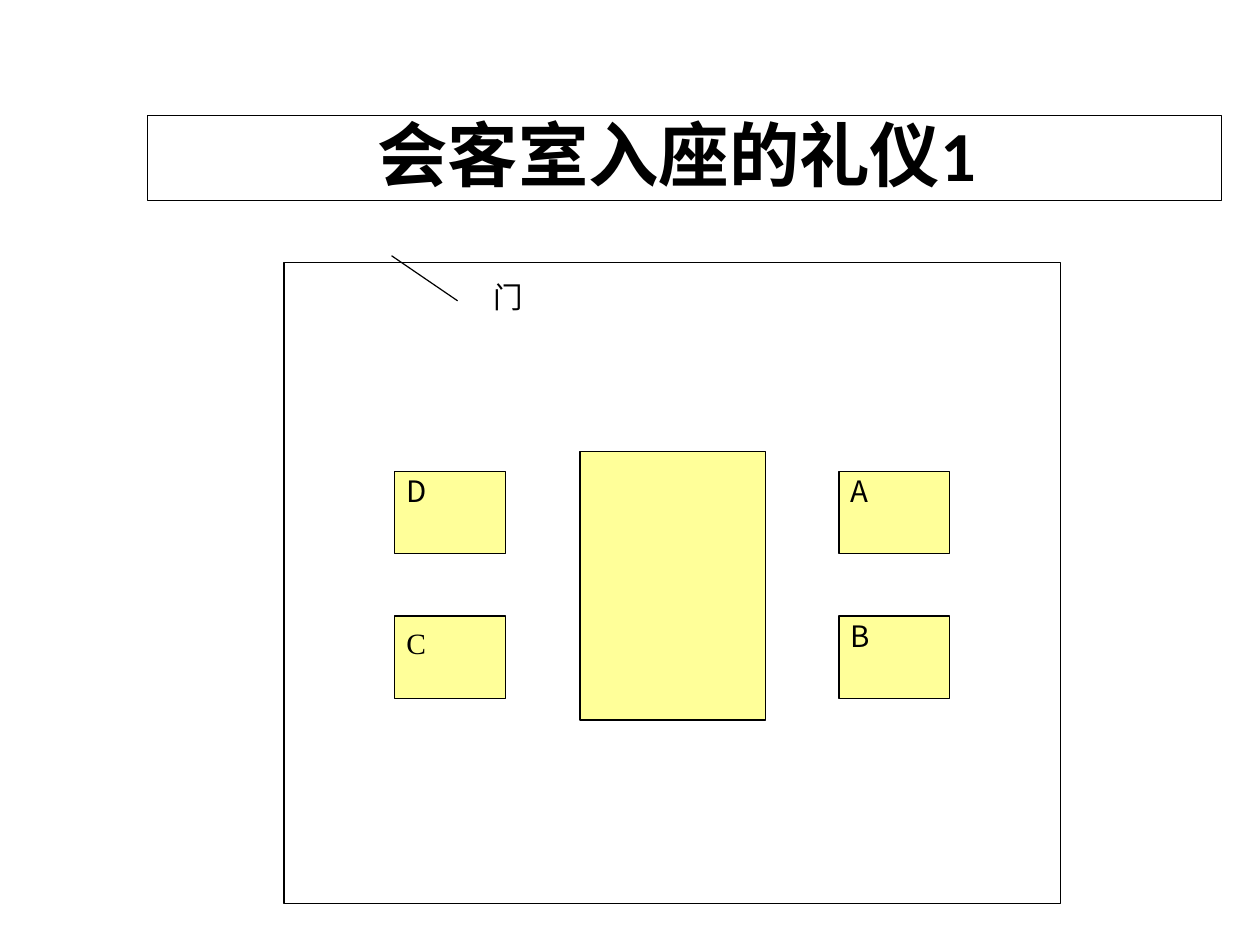
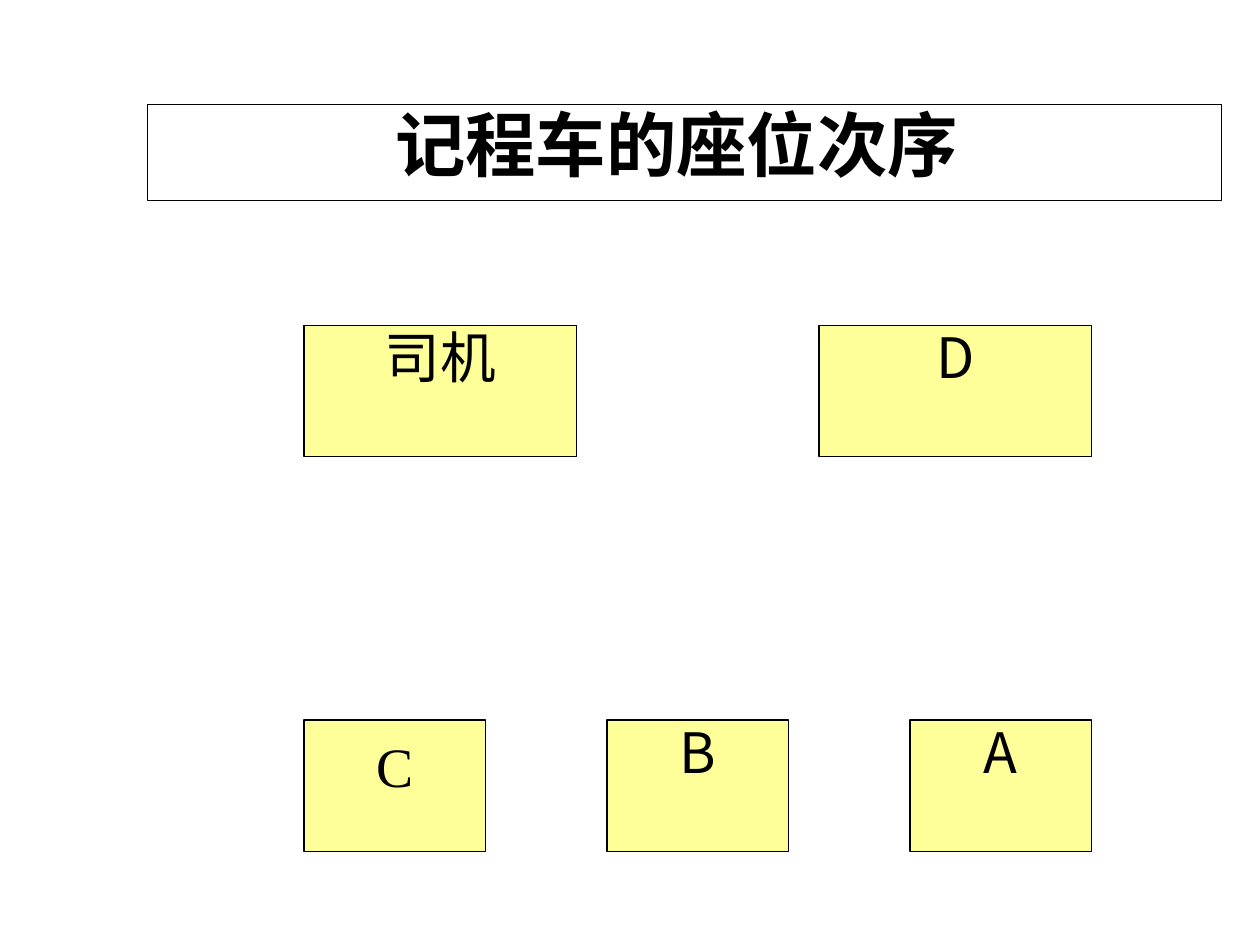
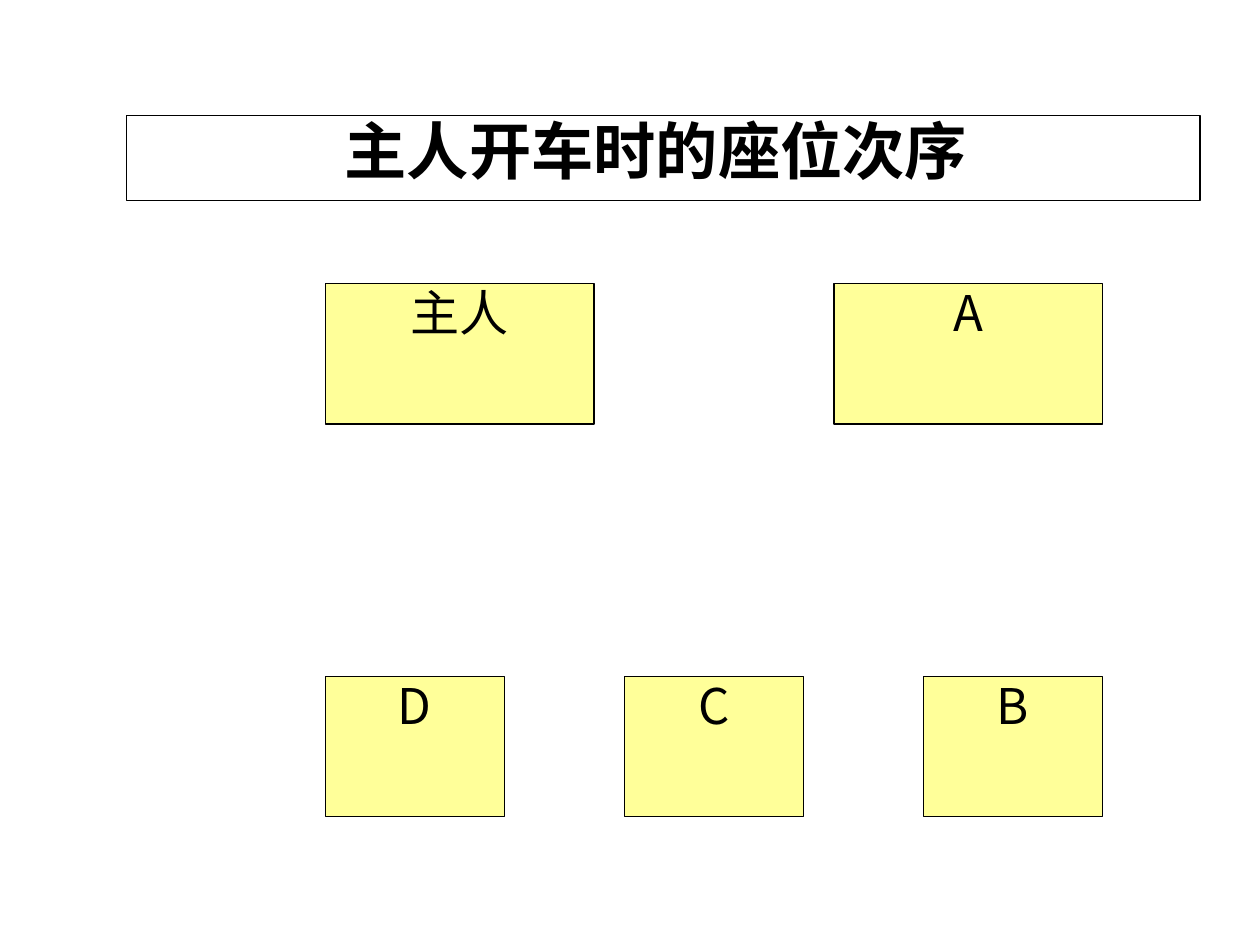
from lxml import etree
from pptx import Presentation
from pptx.dml.color import RGBColor
from pptx.enum.shapes import MSO_SHAPE
from pptx.enum.text import MSO_ANCHOR, MSO_AUTO_SIZE, PP_ALIGN
from pptx.oxml.ns import qn
from pptx.util import Cm, Pt

RECTANGLE = MSO_SHAPE.RECTANGLE
CALLOUT = MSO_SHAPE.LINE_CALLOUT_1_NO_BORDER
CENTER, JUSTIFY = PP_ALIGN.CENTER, PP_ALIGN.JUSTIFY
TITLE_ONLY = 5

COLOURS = {"paper": "FFFFFF", "ink": "000000", "seat": "FFFF99"}
CJK, SERIF, HEADING = "Noto Sans CJK SC", "Times New Roman", "Calibri"
MARGINS = {"margin_left": Cm(0.25), "margin_right": Cm(0.25),
           "margin_top": Cm(0.13), "margin_bottom": Cm(0.13)}
FRAME = {"word_wrap": True, "auto_size": MSO_AUTO_SIZE.NONE,
         "vertical_anchor": MSO_ANCHOR.TOP, **MARGINS}
LINE_SPACING = 0.89
SERIF_DROP = 0.11

MEETING = {
    "title": ("会客室入座的礼仪1 ", 43, (3.18, 2.49, 23.14, 1.83)),
    "room": (6.12, 5.66, 16.74, 13.82),
    "door": ("门", (10.39, 5.97, 6.38, 2.74), (0.188, -0.083, -0.167, -0.306)),
    "table": (12.5, 9.73, 3.99, 5.79),
    "size": 18,
    "seat": (2.39, 1.78),
    "columns": (8.51, 18.08),
    "rows": (10.16, 13.28),
    "seats": [[("D", CJK), ("A", CJK)], [("C", SERIF), ("B", CJK)]],
}

CARS = [
    {
        "title": ("记程车的座位次序 ", 43, (3.18, 2.26, 23.14, 2.06)),
        "size": 34,
        "left": 6.55, "right": 23.52, "height": 2.84,
        "rows": [
            (7.01, 5.87, [("司机", SERIF), ("D", CJK)]),
            (15.52, 3.91, [("C", SERIF), ("B", CJK), ("A", CJK)]),
        ],
    },
    {
        "title": ("主人开车时的座位次序 ", 38, (2.72, 2.49, 23.14, 1.83)),
        "size": 30,
        "left": 7.01, "right": 23.76, "height": 3.02,
        "rows": [
            (6.12, 5.79, [("主人", SERIF), ("A", CJK)]),
            (14.58, 3.86, [("D", CJK), ("C", CJK), ("B", CJK)]),
        ],
    },
]


def assign(target, values):
    for name, value in values.items():
        setattr(target, name, value)


def colour(name):
    return RGBColor.from_string(COLOURS[name])


def paint(shape, fill):
    shape.fill.solid()
    shape.fill.fore_color.rgb = colour(fill)
    shape.line.color.rgb = colour("ink")
    shape.line.width = Pt(0.75)


def write(shape, text, size, font, align, bold=False):
    frame = shape.text_frame
    assign(frame, FRAME)
    para = frame.paragraphs[0]
    para.alignment = align
    if font == SERIF and text.isascii():
        frame.margin_top = MARGINS["margin_top"] + Pt(size * SERIF_DROP)
    else:
        para.line_spacing = LINE_SPACING
    span = para.add_run()
    span.text = text
    assign(span.font, {"size": Pt(size), "name": font, "bold": bold})
    span.font.color.rgb = colour("ink")
    etree.SubElement(span.font._element, qn("a:ea"), typeface=CJK)


def add_box(page, place, fill, kind=RECTANGLE):
    box = page.shapes.add_shape(kind, *map(Cm, place))
    box.shadow.inherit = False
    paint(box, fill)
    return box


def add_page(deck, title):
    text, size, place = title
    page = deck.slides.add_slide(deck.slide_layouts[TITLE_ONLY])
    heading = page.shapes.title
    assign(heading, dict(zip(("left", "top", "width", "height"), map(Cm, place))))
    paint(heading, "paper")
    write(heading, text, size, HEADING, CENTER, bold=True)
    return page


def add_meeting(deck, plan):
    page = add_page(deck, plan["title"])
    add_box(page, plan["room"], "paper")
    label, place, pointer = plan["door"]
    door = add_box(page, place, "paper", CALLOUT)
    for index, value in enumerate(pointer):
        door.adjustments[index] = value
    write(door, label, plan["size"], SERIF, JUSTIFY)
    add_box(page, plan["table"], "seat")
    for top, row in zip(plan["rows"], plan["seats"]):
        for left, (text, font) in zip(plan["columns"], row):
            seat = add_box(page, (left, top, *plan["seat"]), "seat")
            write(seat, text, plan["size"], font, JUSTIFY)


def add_car(deck, plan):
    page = add_page(deck, plan["title"])
    for top, width, seats in plan["rows"]:
        step = (plan["right"] - plan["left"] - width) / (len(seats) - 1)
        for index, (text, font) in enumerate(seats):
            place = (plan["left"] + index * step, top, width, plan["height"])
            write(add_box(page, place, "seat"), text, plan["size"], font, CENTER)


def main():
    deck = Presentation()
    assign(deck, {"slide_width": Cm(27.15), "slide_height": Cm(20.37)})
    add_meeting(deck, MEETING)
    for plan in CARS:
        add_car(deck, plan)
    deck.save("out.pptx")


if __name__ == "__main__":
    main()
